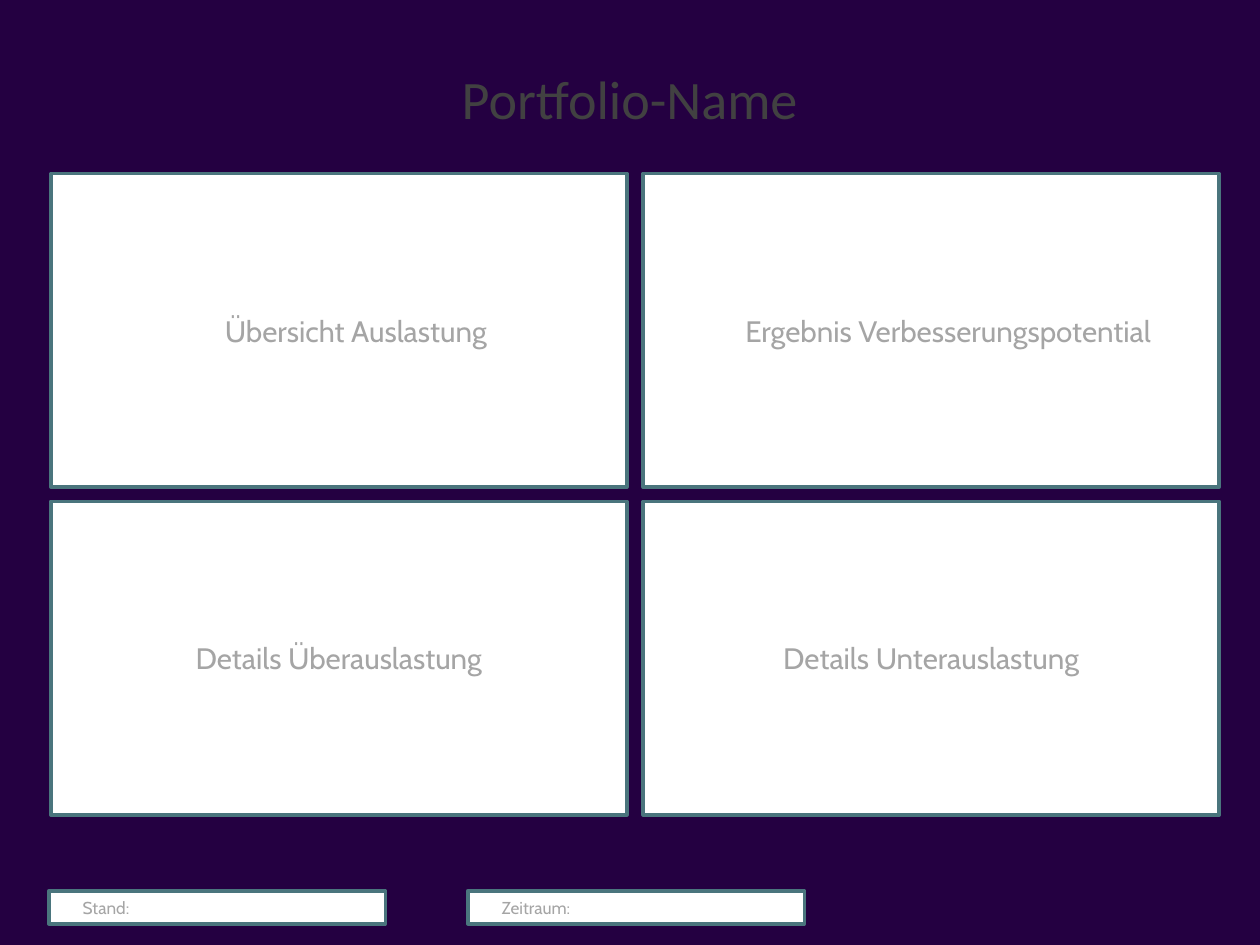
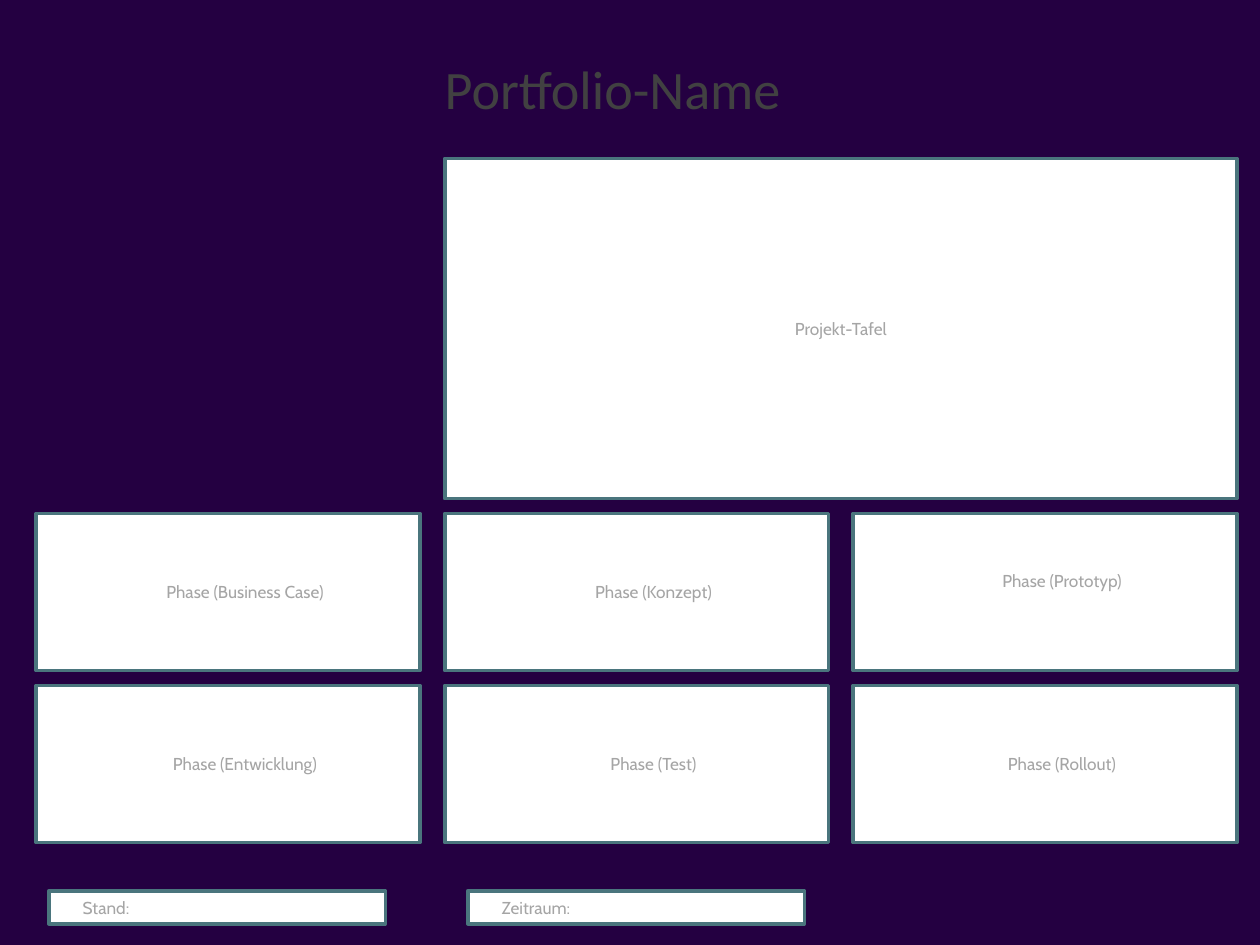
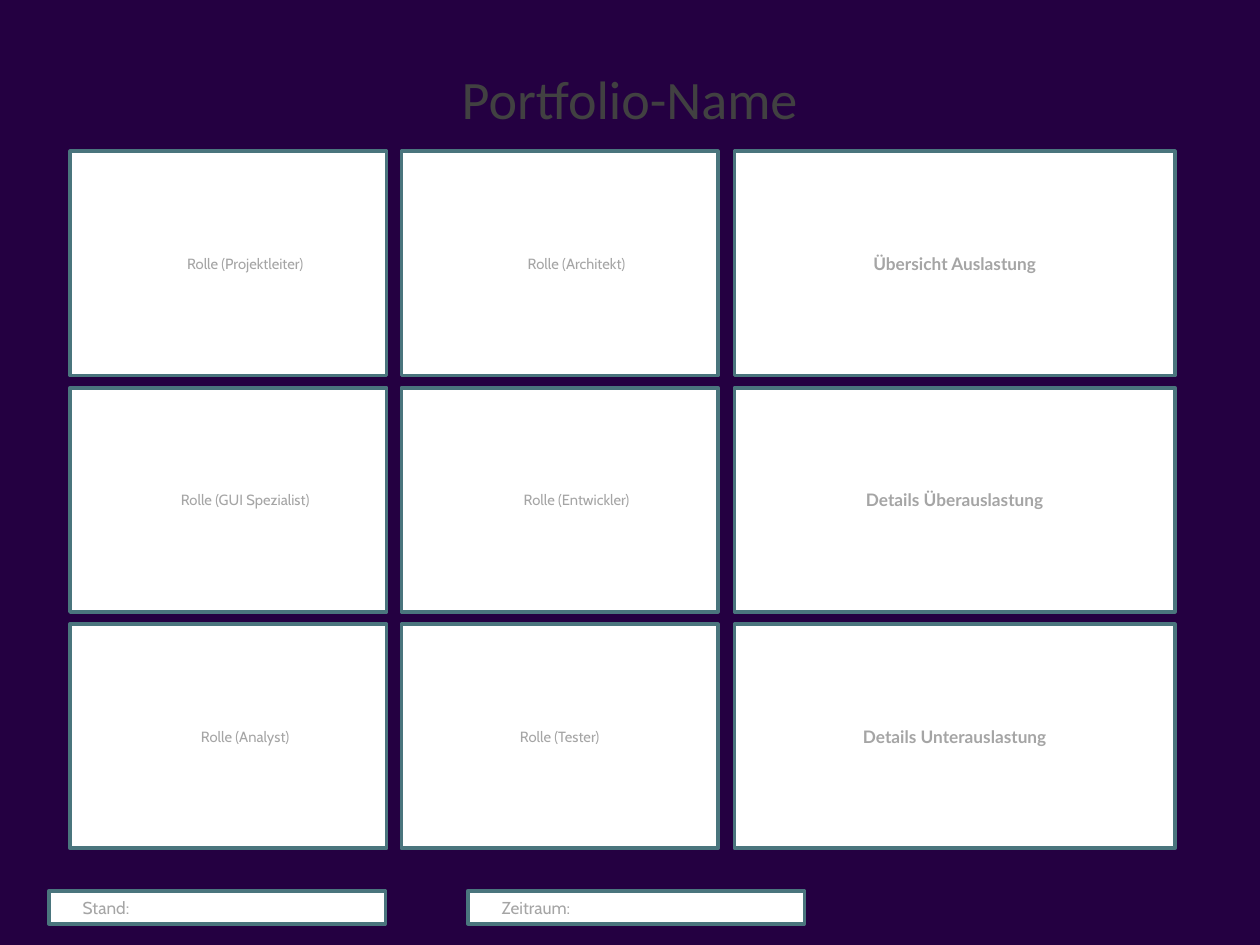
from dataclasses import dataclass

from pptx import Presentation
from pptx.dml.color import RGBColor
from pptx.enum.shapes import MSO_SHAPE
from pptx.enum.text import MSO_ANCHOR, MSO_AUTO_SIZE, PP_ALIGN
from pptx.util import Cm, Pt


@dataclass(frozen=True)
class Theme:
    background: RGBColor = RGBColor(0x24, 0x00, 0x41)
    panel: RGBColor = RGBColor(0xFF, 0xFF, 0xFF)
    border: RGBColor = RGBColor(0x4A, 0x75, 0x7D)
    title: RGBColor = RGBColor(0x41, 0x41, 0x41)
    label: RGBColor = RGBColor(0xA5, 0xA5, 0xA5)
    title_font: str = "Calibri"
    label_font: str = "Cabin"
    strong_font: str = "Lato"
    title_size: int = 44
    large: int = 24
    medium: int = 14
    small: int = 12
    border_width: int = 3
    inset: float = 0.15
    indent: float = 0.97


THEME = Theme()
TITLE_ONLY = 5
TITLE_BOX = (1.8, 1.09, 32.51, 3.45)


def write(frame, text, *, font=THEME.label_font, size=THEME.medium,
          color=THEME.label, bold=False, align=PP_ALIGN.CENTER, indent=0,
          insets=(THEME.inset,) * 4):
    frame.word_wrap = True
    frame.auto_size = MSO_AUTO_SIZE.NONE
    frame.vertical_anchor = MSO_ANCHOR.MIDDLE
    (frame.margin_left, frame.margin_top,
     frame.margin_right, frame.margin_bottom) = map(Cm, insets)
    paragraph = frame.paragraphs[0]
    paragraph.alignment = align
    if indent:
        properties = paragraph._p.get_or_add_pPr()
        properties.set("marL", str(Cm(indent)))
        properties.set("indent", "0")
    run = paragraph.add_run()
    run.text = text
    run.font.name = font
    run.font.size = Pt(size)
    run.font.bold = bold
    run.font.color.rgb = color


def add_panel(slide, box, text, **text_format):
    panel = slide.shapes.add_shape(MSO_SHAPE.RECTANGLE, *map(Cm, box))
    panel.shadow.inherit = False
    panel.fill.solid()
    panel.fill.fore_color.rgb = THEME.panel
    panel.line.color.rgb = THEME.border
    panel.line.width = Pt(THEME.border_width)
    write(panel.text_frame, text, **text_format)


def add_grid(slide, origin, extent, pitch, rows, **shared_format):
    for row, entries in enumerate(rows):
        for column, (text, own_format) in enumerate(entries):
            box = (origin[0] + column * pitch[0],
                   origin[1] + row * pitch[1], *extent)
            add_panel(slide, box, text, **{**shared_format, **own_format})


def add_portfolio_slide(deck, title_box=TITLE_BOX):
    slide = deck.slides.add_slide(deck.slide_layouts[TITLE_ONLY])
    title = slide.shapes.title
    title.left, title.top, title.width, title.height = map(Cm, title_box)
    write(title.text_frame, "Portfolio-Name", font=THEME.title_font,
          size=THEME.title_size, color=THEME.title, insets=(0, 0, 0, 0))
    add_grid(slide, (1.4, 25.55), (9.65, 0.94), (12.01, 0),
             [[("Stand:", {}), ("Zeitraum:", {})]],
             align=PP_ALIGN.LEFT, indent=THEME.indent,
             insets=(0, THEME.inset, THEME.inset, THEME.inset))
    return slide


def build_utilization(deck):
    slide = add_portfolio_slide(deck)
    indented = {"indent": THEME.indent}
    add_grid(slide, (1.46, 4.98), (16.51, 8.99), (16.98, 9.4), [
        [("Übersicht Auslastung", indented),
         ("Ergebnis Verbesserungspotential", indented)],
        [("Details Überauslastung", {}), ("Details Unterauslastung", {})],
    ], size=THEME.large)


def build_phases(deck):
    slide = add_portfolio_slide(deck, (0.46, 0.79, 34.21, 3.45))
    left, width, pitch = 1.04, 11, 11.71
    add_panel(slide, (left + pitch, 4.55, pitch + width, 9.75),
              "Projekt-Tafel")
    raised = {"insets": (THEME.inset, THEME.inset, THEME.inset, 0.8)}
    add_grid(slide, (left, 14.73), (width, 4.5), (pitch, 4.93), [
        [("Phase (Business Case)", {}), ("Phase (Konzept)", {}),
         ("Phase (Prototyp)", raised)],
        [("Phase (Entwicklung)", {}), ("Phase (Test)", {}),
         ("Phase (Rollout)", {})],
    ], indent=THEME.indent)


def build_roles(deck):
    slide = add_portfolio_slide(deck)
    top, height, pitch = 4.34, 6.43, 6.78
    add_grid(slide, (2.01, top), (9.07, height), (9.5, pitch), [
        [("Rolle (Projektleiter)", {}), ("Rolle (Architekt)", {})],
        [("Rolle (GUI Spezialist)", {}), ("Rolle (Entwickler)", {})],
        [("Rolle (Analyst)", {}), ("Rolle (Tester)", {"indent": 0})],
    ], size=THEME.small, indent=THEME.indent)
    add_grid(slide, (21.06, top), (12.62, height), (0, pitch), [
        [("Übersicht Auslastung", {})],
        [("Details Überauslastung", {})],
        [("Details Unterauslastung", {})],
    ], font=THEME.strong_font, bold=True)


def main():
    deck = Presentation()
    deck.slide_width, deck.slide_height = Cm(36.12), Cm(27.1)
    backdrop = deck.slide_master.background.fill
    backdrop.solid()
    backdrop.fore_color.rgb = THEME.background
    build_utilization(deck)
    build_phases(deck)
    build_roles(deck)
    deck.save("out.pptx")


main()
